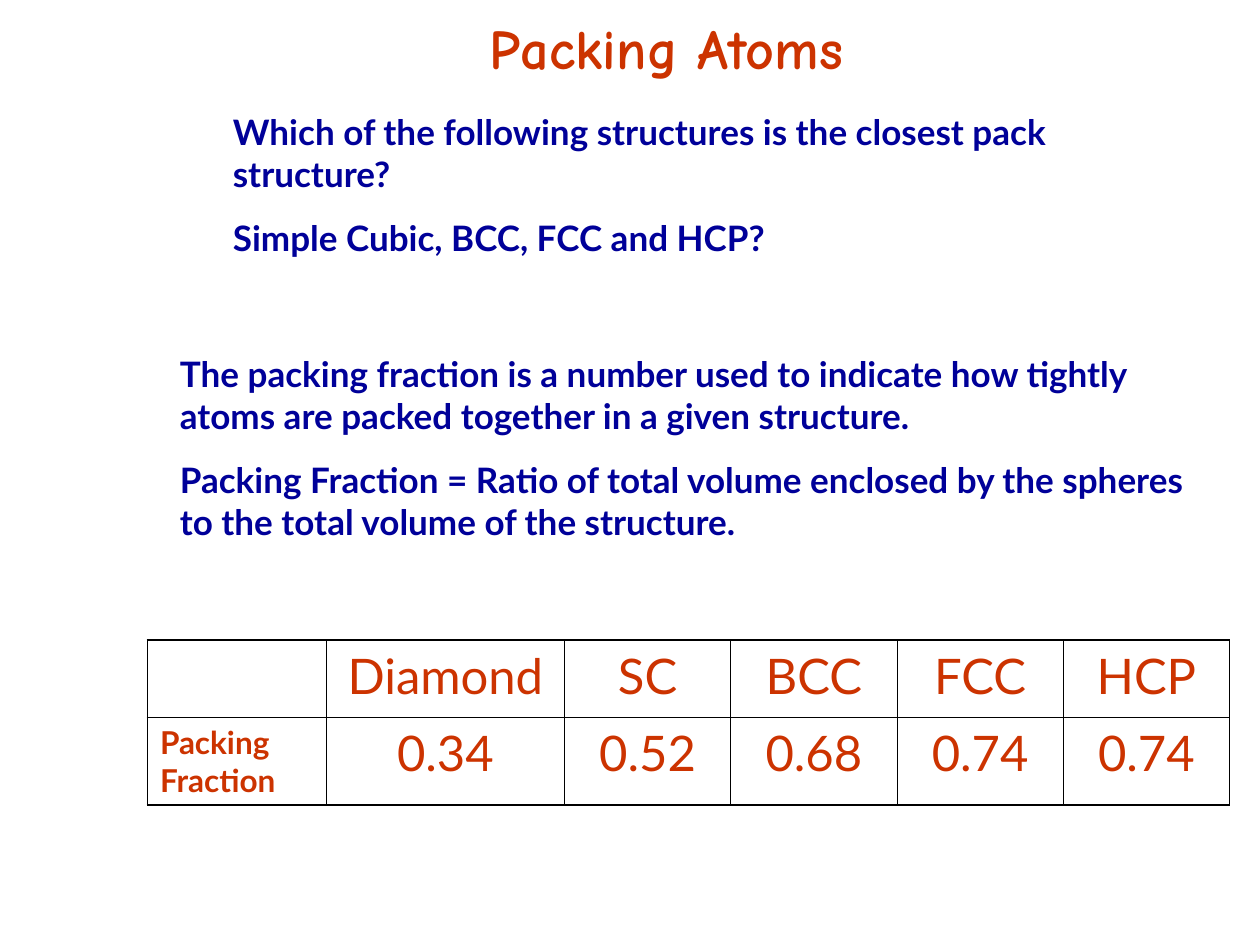
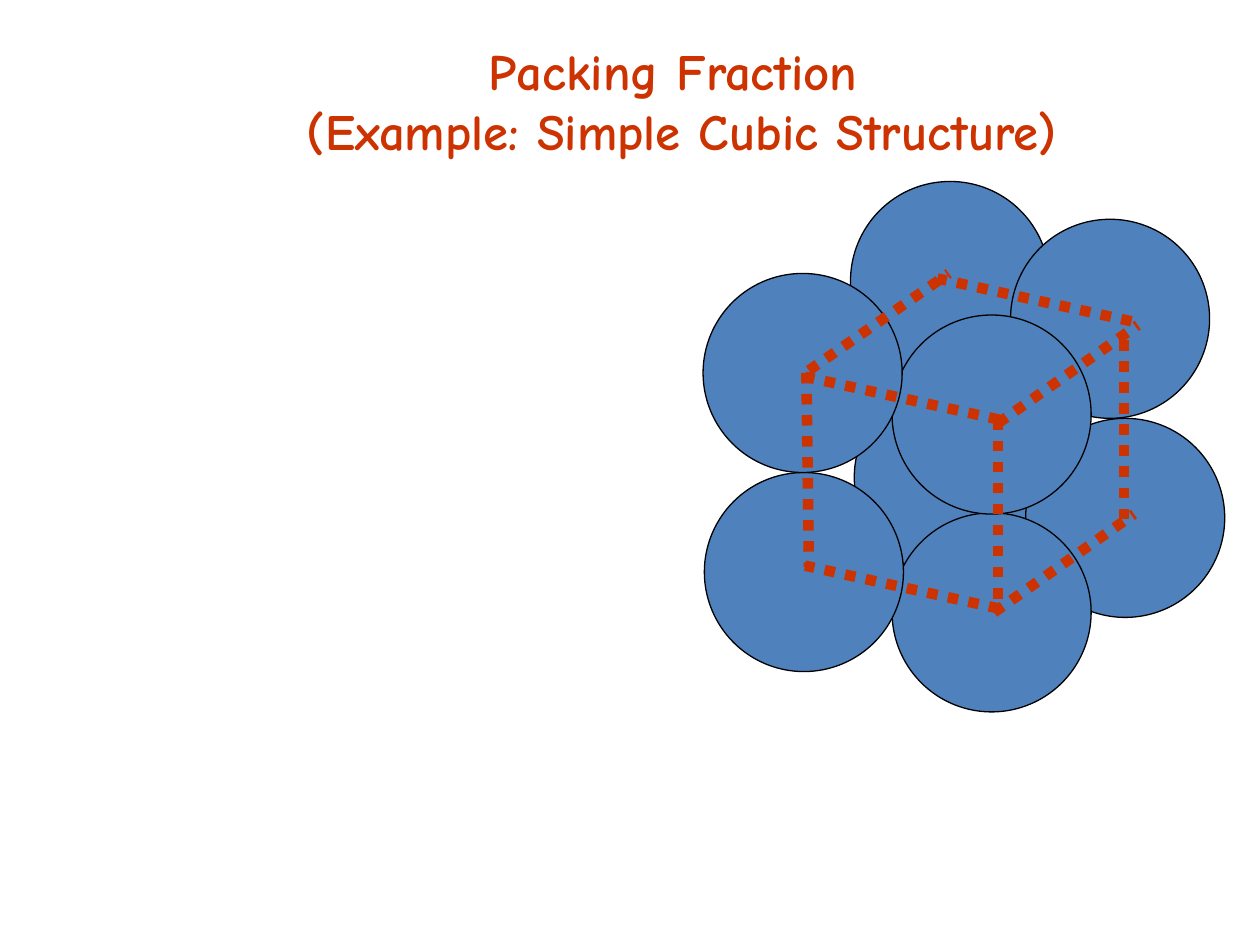
from dataclasses import dataclass

from lxml.etree import SubElement
from pptx import Presentation
from pptx.dml.color import RGBColor
from pptx.enum.dml import MSO_LINE
from pptx.enum.shapes import MSO_CONNECTOR, MSO_SHAPE
from pptx.enum.text import MSO_ANCHOR, PP_ALIGN
from pptx.oxml.ns import qn
from pptx.util import Inches, Pt


@dataclass(frozen=True)
class Theme:
    accent: RGBColor = RGBColor(0xCC, 0x33, 0x00)
    body: RGBColor = RGBColor(0x00, 0x00, 0x99)
    sphere: RGBColor = RGBColor(0x4F, 0x81, 0xBD)
    outline: RGBColor = RGBColor(0, 0, 0)
    title_font: str = "Comic Neue"
    body_font: str = "Lato"
    title_size: int = 32
    long_title_size: int = 29
    body_size: int = 20
    label_size: int = 18
    value_size: int = 28
    edge_width: int = 6
    sphere_line: float = 0.75
    outer_border: float = 1.08
    inner_border: float = 0.45


THEME = Theme()
SPHERE_SIZE = 1.58
SPHERES = [(6.75, 1.44), (8.02, 1.74), (6.78, 3), (8.14, 3.32),
           (7.08, 4.07), (5.59, 3.75), (7.08, 2.5), (5.58, 2.17)]
SOLID_EDGES = [
    ((7.88, 3.29), (8.99, 2.52)),
    ((6.26, 2.95), (7.45, 2.17)),
    ((6.26, 4.32), (7.88, 4.66)),
    ((7.88, 3.29), (7.88, 4.66)),
    ((7.88, 4.66), (8.99, 3.89)),
    ((8.99, 2.52), (7.45, 2.17)),
]
BACK_EDGES = [
    ((7.54, 2.26), (7.54, 3.63)),
    ((6.52, 4.23), (7.54, 3.55)),
    ((8.65, 3.89), (7.54, 3.63)),
    ((6.26, 2.95), (7.88, 3.29)),
]
FRONT_EDGES = [
    ((8.98, 2.55), (7.44, 2.21)),
    ((6.4, 2.96), (6.42, 4.5)),
    ((7.93, 3.33), (6.39, 2.99)),
    ((7.92, 3.36), (9.03, 2.58)),
    ((7.89, 4.86), (9, 4.08)),
    ((8.92, 4.12), (8.92, 2.67)),
    ((6.42, 2.94), (7.53, 2.17)),
    ((7.92, 4.75), (7.92, 3.29)),
    ((7.93, 4.83), (6.39, 4.49)),
]
FRACTIONS = {"Diamond": "0.34", "SC": "0.52", "BCC": "0.68",
             "FCC": "0.74", "HCP": "0.74"}


def style(paragraph, name, size, color, bold=True):
    font = paragraph.font
    font.name, font.size, font.bold = name, Pt(size), bold
    font.color.rgb = color


def add_text(slide, left, top, width, height):
    frame = slide.shapes.add_textbox(
        Inches(left), Inches(top), Inches(width), Inches(height)).text_frame
    frame.word_wrap = True
    return frame


def add_title(slide, text, box, size):
    frame = add_text(slide, *box)
    frame.vertical_anchor = MSO_ANCHOR.MIDDLE
    title = frame.paragraphs[0]
    title.text = text
    title.alignment = PP_ALIGN.CENTER
    style(title, THEME.title_font, size, THEME.accent)


def add_statements(slide, box, *statements):
    frame = add_text(slide, *box)
    frame.text = "\n".join(statements)
    for paragraph in frame.paragraphs:
        paragraph.space_before = Pt(12.5)
        style(paragraph, THEME.body_font, THEME.body_size, THEME.body)


def set_border(cell, side, width):
    line = SubElement(cell._tc.get_or_add_tcPr(), qn(f"a:ln{side}"), w=str(Pt(width)))
    fill = SubElement(line, qn("a:solidFill"))
    SubElement(fill, qn("a:srgbClr"), val=str(THEME.outline))


def add_fraction_table(slide):
    rows = [["", *FRACTIONS], ["Packing Fraction", *FRACTIONS.values()]]
    widths = [1.42, 1.89] + [1.32] * 4
    heights = [0.61, 0.7]
    table = slide.shapes.add_table(
        len(rows), len(widths), Inches(1.17), Inches(5.08),
        Inches(sum(widths)), Inches(sum(heights))).table
    table.first_row = table.horz_banding = False
    for column, width in zip(table.columns, widths):
        column.width = Inches(width)
    for row, height in zip(table.rows, heights):
        row.height = Inches(height)
    for r, values in enumerate(rows):
        for c, value in enumerate(values):
            cell = table.cell(r, c)
            on_outside = {"L": c == 0, "R": c == len(widths) - 1,
                          "T": r == 0, "B": r == len(rows) - 1}
            for side, outer in on_outside.items():
                set_border(cell, side, THEME.outer_border if outer else THEME.inner_border)
            cell.fill.background()
            cell.text = value
            is_label = c == 0
            paragraph = cell.text_frame.paragraphs[0]
            paragraph.alignment = PP_ALIGN.LEFT if is_label else PP_ALIGN.CENTER
            paragraph.space_before = Pt(4.5 if is_label else 7)
            style(paragraph, THEME.body_font,
                  THEME.label_size if is_label else THEME.value_size,
                  THEME.accent, is_label)


def add_edges(slide, edges, dotted=True):
    for start, end in edges:
        edge = slide.shapes.add_connector(
            MSO_CONNECTOR.STRAIGHT, *map(Inches, start + end))
        edge.line.color.rgb = THEME.accent
        edge.line.width = Pt(THEME.edge_width)
        if dotted:
            edge.line.dash_style = MSO_LINE.ROUND_DOT
        SubElement(edge._element.spPr, qn("a:effectLst"))


def add_sphere(slide, left, top):
    sphere = slide.shapes.add_shape(
        MSO_SHAPE.OVAL, Inches(left), Inches(top),
        Inches(SPHERE_SIZE), Inches(SPHERE_SIZE))
    sphere.shadow.inherit = False
    sphere.fill.solid()
    sphere.fill.fore_color.rgb = THEME.sphere
    sphere.line.color.rgb = THEME.outline
    sphere.line.width = Pt(THEME.sphere_line)


def build_packing_atoms(slide):
    add_title(slide, "Packing Atoms ", (2.58, 0, 5.58, 0.75), THEME.title_size)
    add_statements(
        slide, (1.75, 0.83, 7, 1.28),
        "Which of the following structures is the closest pack structure?",
        "Simple Cubic, BCC, FCC and HCP?")
    add_statements(
        slide, (1.33, 2.75, 8.17, 1.61),
        "The packing fraction is a number used to indicate how tightly atoms "
        "are packed together in a given structure.",
        "Packing Fraction = Ratio of total volume enclosed by the spheres "
        "to the total volume of the structure.")
    add_fraction_table(slide)


def build_simple_cubic(slide):
    add_title(slide, "Packing Fraction \v(Example: Simple Cubic Structure)",
              (1.33, 0.42, 8.17, 0.75), THEME.long_title_size)
    add_edges(slide, SOLID_EDGES, dotted=False)
    add_edges(slide, BACK_EDGES)
    for left, top in SPHERES:
        add_sphere(slide, left, top)
    add_edges(slide, FRONT_EDGES)


def main():
    deck = Presentation()
    deck.slide_width, deck.slide_height = Inches(10), Inches(7.5)
    for build in (build_packing_atoms, build_simple_cubic):
        build(deck.slides.add_slide(deck.slide_layouts[6]))
    deck.save("out.pptx")


if __name__ == "__main__":
    main()
